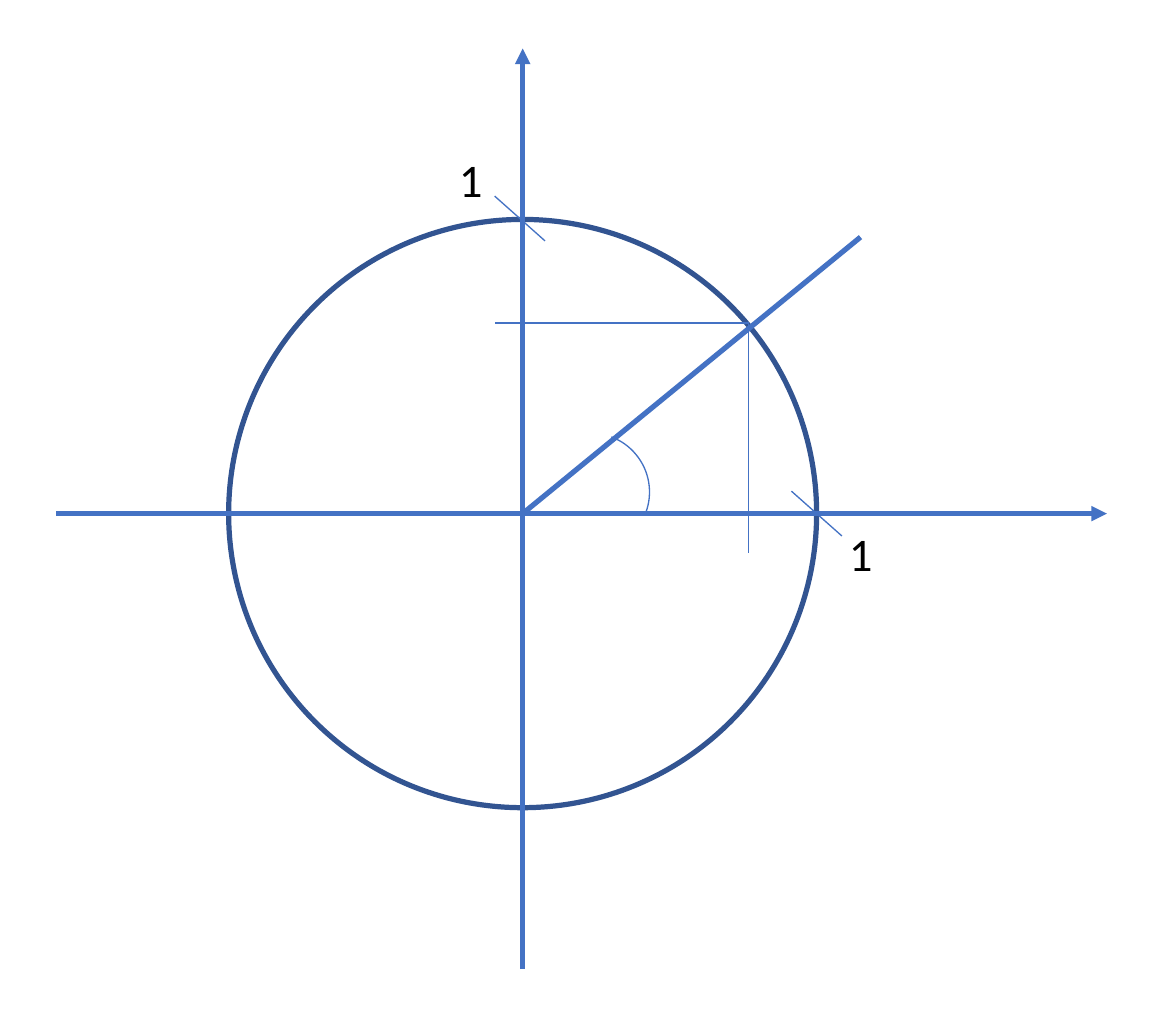
from lxml.etree import SubElement
from pptx import Presentation
from pptx.dml.color import RGBColor
from pptx.enum.shapes import MSO_CONNECTOR, MSO_SHAPE
from pptx.enum.text import MSO_AUTO_SIZE
from pptx.oxml.ns import qn
from pptx.util import Inches, Pt

BLUE, NAVY, BLACK = "4472C4", "325491", "000000"
THICK, THIN = 2, 0.5

# Centre and radius of the unit circle, and the point on it
CX, CY, RAD = 2.8, 2.75, 1.575
PX, PY = 4.01, 1.73
TICK = (0.27, 0.24)

AXES = [
    ((0.3, CY), (5.93, CY)),
    ((CX, 5.19), (CX, 0.26)),
]
TICKS = [(2.65, 1.05), (4.24, 2.63)]
LABELS = [("1", 4.45, 2.76), ("1", 2.36, 0.76)]
RAY = ((CX, CY), (4.61, 1.27))
DROPS = [
    ((PX, PY), (PX, 2.96)),
    ((PX, PY), (2.65, PY)),
]
# Centre, radius and turn of the angle mark
ARC = (3.165, 2.635, 0.315, 20.5)


def color(text):
    return RGBColor.from_string(text)


def stroke(item, tint, width):
    item.line.color.rgb = color(tint)
    item.line.width = Pt(width)


def link(start, end, width, arrow=False):
    ends = [Inches(n) for n in (*start, *end)]
    line = shapes.add_connector(MSO_CONNECTOR.STRAIGHT, *ends)
    stroke(line, BLUE, width)
    if arrow:
        SubElement(line.line._get_or_add_ln(), qn("a:tailEnd"), type="triangle")
    SubElement(line._element.spPr, qn("a:effectLst"))


def round_shape(kind, x, y, rad, tint, width):
    """Add an unfilled shape in a square around a centre."""
    item = shapes.add_shape(kind, Inches(x - rad), Inches(y - rad),
                            Inches(2 * rad), Inches(2 * rad))
    item.shadow.inherit = False
    item.fill.background()
    stroke(item, tint, width)
    return item


def label(text, x, y):
    box = shapes.add_textbox(Inches(x), Inches(y), Inches(0.27), Inches(0.27))
    frame = box.text_frame
    frame.word_wrap = False
    frame.auto_size = MSO_AUTO_SIZE.SHAPE_TO_FIT_TEXT
    run = frame.paragraphs[0].add_run()
    run.text = text
    run.font.name = "Calibri"
    run.font.size = Pt(18)
    run.font.color.rgb = color(BLACK)


deck = Presentation()
deck.slide_width, deck.slide_height = Inches(6.3), Inches(5.51)
shapes = deck.slides.add_slide(deck.slide_layouts[6]).shapes

round_shape(MSO_SHAPE.OVAL, CX, CY, RAD, NAVY, THICK)
for start, end in AXES:
    link(start, end, THICK, arrow=True)
for x, y in TICKS:
    link((x, y), (x + TICK[0], y + TICK[1]), THIN)
for text, x, y in LABELS:
    label(text, x, y)
link(*RAY, THICK)
for start, end in DROPS:
    link(start, end, THIN)
x, y, rad, turn = ARC
round_shape(MSO_SHAPE.ARC, x, y, rad, BLUE, THIN).rotation = turn

deck.save("out.pptx")
